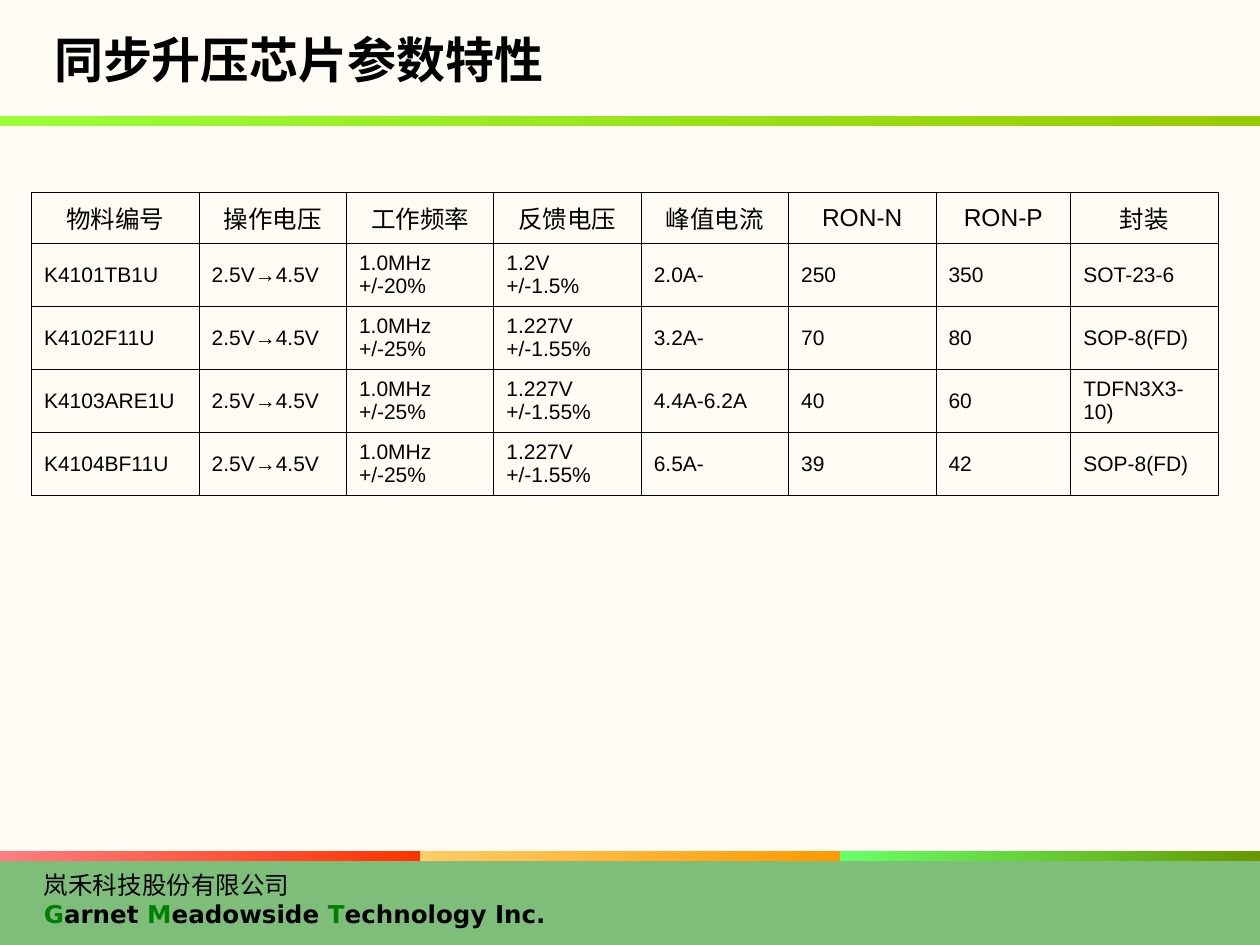
from lxml import etree
from pptx import Presentation
from pptx.dml.color import RGBColor
from pptx.enum.shapes import MSO_SHAPE
from pptx.enum.text import MSO_ANCHOR, PP_ALIGN
from pptx.oxml.ns import qn
from pptx.util import Inches, Pt

RECT = MSO_SHAPE.RECTANGLE
MIDDLE = MSO_ANCHOR.MIDDLE
LEFT, CENTER = PP_ALIGN.LEFT, PP_ALIGN.CENTER

COLORS = {
    "background": "FEFCF4", "footer": "7FBE7A", "text": "000000", "initial": "008000",
    "lime": "99FF33", "olive": "99CC00",
    "pink": "FF7C80", "red": "FF3300",
    "sand": "FFCC66", "orange": "FF9900",
    "mint": "66FF66", "moss": "669900",
}
COLUMN_WIDTHS = [1.33, 1.17, 1.17, 1.17, 1.17, 1.17, 1.07, 1.17]
ROW_HEIGHTS = [0.4, 0.5, 0.5, 0.5, 0.5]
VOLTAGE = "2.5V→4.5V"
ROWS = [
    ["物料编号", "操作电压", "工作频率", "反馈电压", "峰值电流", "RON-N", "RON-P", "封装"],
    ["K4101TB1U", VOLTAGE, "1.0MHz\v+/-20%", "1.2V\v+/-1.5%", "2.0A-", "250", "350", "SOT-23-6"],
    ["K4102F11U", VOLTAGE, "1.0MHz\v+/-25%", "1.227V\v+/-1.55%", "3.2A-", "70", "80", "SOP-8(FD)"],
    ["K4103ARE1U", VOLTAGE, "1.0MHz\v+/-25%", "1.227V\v+/-1.55%", "4.4A-6.2A", "40", "60", "TDFN3X3-10)"],
    ["K4104BF11U", VOLTAGE, "1.0MHz\v+/-25%", "1.227V\v+/-1.55%", "6.5A-", "39", "42", "SOP-8(FD)"],
]
COMPANY_WORDS = [("G", "arnet "), ("M", "eadowside "), ("T", "echnology Inc.")]


def rgb(name):
    return RGBColor.from_string(COLORS[name])


def format_run(r, size, font="Arial", color="text", bold=False):
    r.font.size = Pt(size)
    r.font.name = font
    r.font.bold = bold
    r.font.color.rgb = rgb(color)


def add_bar(s, left, top, width, height, *colors):
    """Add a borderless bar: one colour fills it, two make a left-to-right gradient."""
    sp = s.shapes.add_shape(RECT, Inches(left), Inches(top), Inches(width), Inches(height))
    sp.shadow.inherit = False
    sp.line.fill.background()
    if len(colors) == 1:
        sp.fill.solid()
        sp.fill.fore_color.rgb = rgb(colors[0])
    else:
        sp.fill.gradient()
        sp.fill.gradient_angle = 0
        for stop, color in zip(sp.fill.gradient_stops, colors):
            stop.color.rgb = rgb(color)


def add_title(s, text):
    sp = s.shapes.title
    sp.left, sp.top, sp.width, sp.height = Inches(0.33), Inches(0.17), Inches(7.92), Inches(0.59)
    tf = sp.text_frame
    tf.text = text
    tf.vertical_anchor = MIDDLE
    p = tf.paragraphs[0]
    p.alignment = LEFT
    format_run(p.runs[0], 28, bold=True)


def add_company(s):
    sp = s.shapes.add_textbox(Inches(0.25), Inches(6.85), Inches(4.25), Inches(0.57))
    tf = sp.text_frame
    tf.word_wrap = True
    tf.vertical_anchor = MIDDLE
    tf.text = "岚禾科技股份有限公司"
    format_run(tf.paragraphs[0].runs[0], 14, "DejaVu Sans")
    p = tf.add_paragraph()
    for initial, rest in COMPANY_WORDS:
        for text, color in ((initial, "initial"), (rest, "text")):
            r = p.add_run()
            r.text = text
            format_run(r, 14, "DejaVu Sans", color, True)


def set_borders(cell, width):
    tc_pr = cell._tc.get_or_add_tcPr()
    for i, side in enumerate(("a:lnL", "a:lnR", "a:lnT", "a:lnB")):
        ln = etree.Element(qn(side), w=str(Pt(width)))
        fill = etree.SubElement(ln, qn("a:solidFill"))
        etree.SubElement(fill, qn("a:srgbClr"), val=COLORS["text"])
        tc_pr.insert(i, ln)


def add_parameter_table(s):
    table = s.shapes.add_table(
        len(ROWS), len(COLUMN_WIDTHS), Inches(0.25), Inches(1.53),
        Inches(sum(COLUMN_WIDTHS)), Inches(sum(ROW_HEIGHTS))).table
    table.first_row = table.horz_banding = False
    for column, width in zip(table.columns, COLUMN_WIDTHS):
        column.width = Inches(width)
    for i, (row, height) in enumerate(zip(table.rows, ROW_HEIGHTS)):
        row.height = Inches(height)
        for cell, text in zip(row.cells, ROWS[i]):
            cell.text = text
            cell.vertical_anchor = MIDDLE
            cell.fill.background()
            set_borders(cell, 0.45)
            p = cell.text_frame.paragraphs[0]
            p.alignment = LEFT if i else CENTER
            for r in p.runs:
                format_run(r, 12 if i else 14)


def main():
    prs = Presentation()
    prs.slide_width, prs.slide_height = Inches(10), Inches(7.5)
    s = prs.slides.add_slide(prs.slide_layouts[5])
    s.background.fill.solid()
    s.background.fill.fore_color.rgb = rgb("background")

    add_bar(s, 0, 6.83, 10, 0.67, "footer")
    add_bar(s, 0, 0.92, 10, 0.08, "lime", "olive")
    add_company(s)
    for i, colors in enumerate((("pink", "red"), ("sand", "orange"), ("mint", "moss"))):
        add_bar(s, i * 10 / 3, 6.75, 10 / 3, 0.08, *colors)
    add_title(s, "同步升压芯片参数特性")
    add_parameter_table(s)
    prs.save("out.pptx")


if __name__ == "__main__":
    main()
